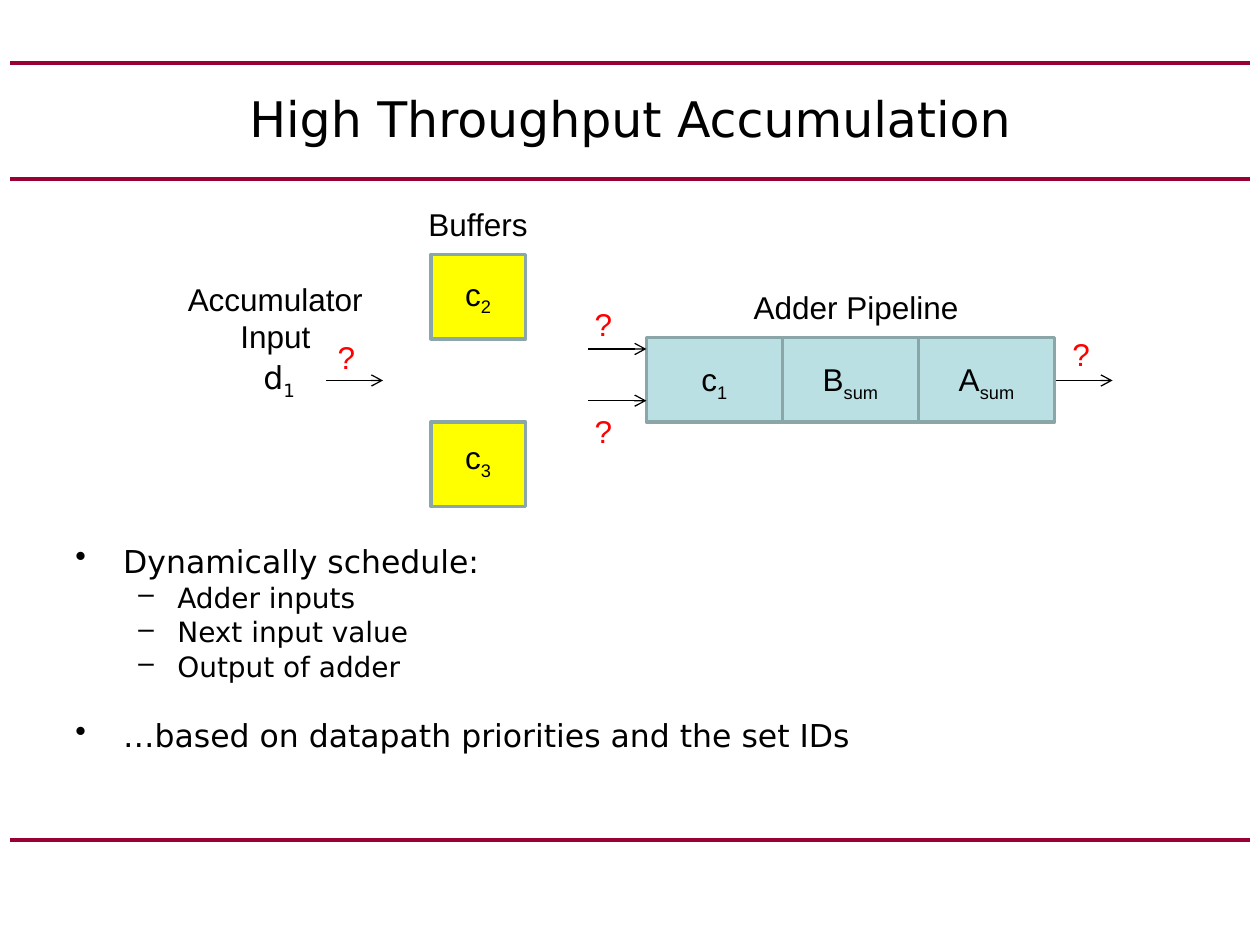
"""Build the High Throughput Accumulation slide."""
from lxml import etree
from pptx import Presentation
from pptx.dml.color import RGBColor
from pptx.enum.shapes import MSO_CONNECTOR, MSO_SHAPE
from pptx.enum.text import MSO_ANCHOR, MSO_AUTO_SIZE, PP_ALIGN
from pptx.oxml.ns import qn
from pptx.util import Inches, Pt

STRAIGHT, RECTANGLE = MSO_CONNECTOR.STRAIGHT, MSO_SHAPE.RECTANGLE
TOP, MIDDLE = MSO_ANCHOR.TOP, MSO_ANCHOR.MIDDLE
GROW, FIXED = MSO_AUTO_SIZE.SHAPE_TO_FIT_TEXT, MSO_AUTO_SIZE.NONE
CENTER = PP_ALIGN.CENTER
SANS, ARIAL = "DejaVu Sans", "Arial"
BLACK, RED, MAROON = "000000", "FF0000", "990033"
BLUE, YELLOW, EDGE = "BBE0E3", "FFFF00", "8AA6A8"
color = RGBColor.from_string

deck = Presentation()
deck.slide_width, deck.slide_height = Inches(10), Inches(7.5)
page = deck.slides.add_slide(deck.slide_layouts[6])


def add_line(left, right, y, ink, weight):
    line = page.shapes.add_connector(
        STRAIGHT, Inches(left), Inches(y), Inches(right), Inches(y))
    line.line.color.rgb = color(ink)
    line.line.width = Pt(weight)
    etree.SubElement(line._element.spPr, qn("a:effectLst"))
    return line


def add_text(place, text, subscript="", ink=BLACK, anchor=TOP, fit=GROW, **font):
    box = page.shapes.add_textbox(*map(Inches, place))
    frame = box.text_frame
    settings = {"word_wrap": True, "auto_size": fit, "vertical_anchor": anchor}
    for name, value in settings.items():
        setattr(frame, name, value)
    para = frame.paragraphs[0]
    para.alignment = CENTER
    for content in filter(None, (text, subscript)):
        span = para.add_run()
        span.text = content
        for name, value in ({"name": ARIAL, "size": Pt(18)} | font).items():
            setattr(span.font, name, value)
        span.font.color.rgb = color(ink)
    if subscript:
        span._r.get_or_add_rPr().set("baseline", "-25000")


for y in (6.67, 1.42, 0.5):
    add_line(0.08, 9.92, y, MAROON, 2.25)

add_text((0.5, 0.5, 9, 0.87), "High Throughput Accumulation",
         anchor=MIDDLE, fit=FIXED, name=SANS, size=Pt(28))

label_width = 1.17
stage_width, buffer_width, cell_height = 1.08, 0.75, 0.67
stages = [("c", "1"), ("B", "sum"), ("A", "sum")]
cells = [(5.13 + i * stage_width, 2.68, stage_width, BLUE, 2.81, TOP, label)
         for i, label in enumerate(stages)]
cells += [(3.42, 2.02, buffer_width, YELLOW, 2.15, MIDDLE, ("c", "2")),
          (3.42, 3.35, buffer_width, YELLOW, 3.45, MIDDLE, ("c", "3"))]

for left, top, width, fill, label_top, anchor, label in cells:
    cell = page.shapes.add_shape(
        RECTANGLE, *map(Inches, (left, top, width, cell_height)))
    cell.shadow.inherit = False
    cell.fill.solid()
    cell.fill.fore_color.rgb = color(fill)
    cell.line.color.rgb = color(EDGE)
    cell.line.width = Pt(2)

for left, top, width, fill, label_top, anchor, label in cells:
    label_left = left + (width - label_width) / 2
    add_text((label_left, label_top, label_width, 0.4), *label, anchor=anchor)

add_text((1.84, 2.68, 0.75, 0.67), "d", "1", anchor=MIDDLE, fit=FIXED, name=SANS)

outline = [
    ("Dynamically schedule:", 0, 0),
    ("Adder inputs", 1, 0.5),
    ("Next input value", 1, 0.5),
    ("Output of adder", 1, 0.5),
    ("…based on datapath priorities and the set IDs", 0, 19),
]
levels = [
    {"bullet": "•", "margin": 0.38, "hanging": 0.38, "size": 18},
    {"bullet": "–", "margin": 0.81, "hanging": 0.31, "size": 16},
]
body = page.shapes.add_textbox(*map(Inches, (0.5, 4.25, 9, 2.33))).text_frame
body.word_wrap = True
for index, (text, level, gap) in enumerate(outline):
    style = levels[level]
    para = body.add_paragraph() if index else body.paragraphs[0]
    para.level = level
    if gap:
        para.space_before = Pt(gap)
    properties = para._p.get_or_add_pPr()
    properties.set("marL", str(Inches(style["margin"])))
    properties.set("indent", str(-Inches(style["hanging"])))
    etree.SubElement(properties, qn("a:buChar"), char=style["bullet"])
    span = para.add_run()
    span.text = text
    for name, value in {"name": SANS, "size": Pt(style["size"])}.items():
        setattr(span.font, name, value)
    span.font.color.rgb = color(BLACK)

add_text((1.33, 2.17, 1.71, 0.71), "Accumulator Input")
add_text((3.21, 1.58, label_width, 0.4), "Buffers")
add_text((5.88, 2.24, 1.83, 0.4), "Adder Pipeline")

for left, right, y in ((4.67, 5.13, 2.77), (4.67, 5.13, 3.18),
                       (8.38, 8.83, 3.02), (2.59, 3.04, 3.02)):
    arrow = add_line(left, right, y, BLACK, 0.75)
    etree.SubElement(arrow.line._get_or_add_ln(), qn("a:tailEnd"), type="arrow")

for left, top in ((4.46, 2.37), (4.46, 3.22), (8.25, 2.61), (2.42, 2.63)):
    add_text((left, top, 0.66, 0.4), "?", ink=RED)

deck.save("out.pptx")
